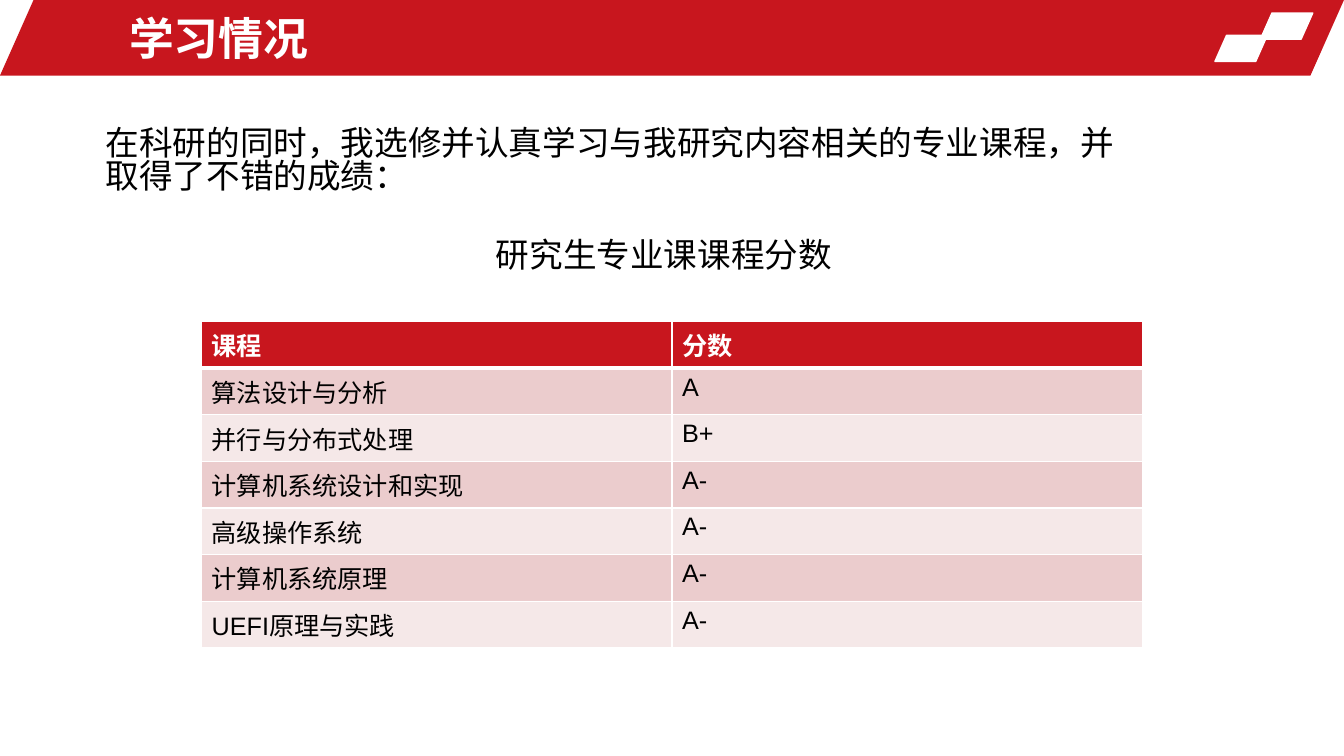
from lxml import etree
from pptx import Presentation
from pptx.dml.color import RGBColor
from pptx.enum.shapes import MSO_SHAPE
from pptx.enum.text import MSO_ANCHOR, PP_ALIGN
from pptx.oxml.ns import qn
from pptx.util import Inches, Pt

RED, WHITE, BLACK = "C8161E", "FFFFFF", "000000"
CJK = "Noto Sans CJK SC"


def paint(target, color):
    """Give a fill one solid colour."""
    target.solid()
    target.fore_color.rgb = RGBColor.from_string(color)


def style(para, size, color, bold=False, latin=CJK):
    """Format every run, with the Chinese font set for East Asian text."""
    for span in para.runs:
        span.font.size = Pt(size)
        span.font.bold = bold
        span.font.name = latin
        paint(span.font.fill, color)
        properties = span.font._element if hasattr(span.font, "_element") else span._r.get_or_add_rPr()
        etree.SubElement(properties, qn("a:ea"), typeface=CJK)


deck = Presentation()
deck.slide_width, deck.slide_height = Inches(13.33), Inches(7.5)
page = deck.slides.add_slide(deck.slide_layouts[5])

# Header band with two small white marks
for left, top, width, height, color in [
    (0, 0, 13.33, 0.75, RED),
    (12.5, 0.13, 0.52, 0.26, WHITE),
    (12.05, 0.35, 0.52, 0.26, WHITE),
]:
    band = page.shapes.add_shape(
        MSO_SHAPE.PARALLELOGRAM, Inches(left), Inches(top), Inches(width), Inches(height)
    )
    band.adjustments[0] = 0.444
    band.shadow.inherit = False
    paint(band.fill, color)
    if color == WHITE:
        paint(band.line.fill, WHITE)
        band.line.width = Pt(1)
    else:
        band.line.fill.background()

# Title, brought in front of the band
title = page.shapes.title
title.element.getparent().append(title.element)
title.left, title.top, title.width, title.height = map(Inches, (1.18, 0.05, 7.74, 0.65))
title.text_frame.text = "学习情况"
title.text_frame.vertical_anchor = MSO_ANCHOR.MIDDLE
title.text_frame.paragraphs[0].alignment = PP_ALIGN.LEFT
style(title.text_frame.paragraphs[0], 32, WHITE, bold=True)

# Course grades
grades = [
    ("课程", "分数"),
    ("算法设计与分析", "A"),
    ("并行与分布式处理", "B+"),
    ("计算机系统设计和实现", "A-"),
    ("高级操作系统", "A-"),
    ("计算机系统原理", "A-"),
    ("UEFI原理与实践", "A-"),
]
table = page.shapes.add_table(
    len(grades), 2, Inches(2), Inches(3.19), Inches(9.33), Inches(2.92)
).table
for row, values in enumerate(grades):
    header = row == 0
    for column, value in enumerate(values):
        cell = table.cell(row, column)
        cell.text_frame.text = value
        style(cell.text_frame.paragraphs[0], 18, WHITE if header else BLACK, header, "Arial")
        for side in ("lnL", "lnR", "lnT", "lnB"):
            thick = (header and side == "lnB") or (row == 1 and side == "lnT")
            border = etree.SubElement(
                cell._tc.get_or_add_tcPr(), qn(f"a:{side}"), w=str(Pt(3 if thick else 1))
            )
            solid = etree.SubElement(border, qn("a:solidFill"))
            etree.SubElement(solid, qn("a:srgbClr"), val=WHITE)
        paint(cell.fill, RED if header else ("F5E8E8", "EBCCCD")[row % 2])

# Caption and introduction
for left, top, width, height, words in [
    (4.82, 2.34, 3.69, 0.5, "研究生专业课课程分数"),
    (0.95, 1.23, 10.27, 1.21,
     "在科研的同时，我选修并认真学习与我研究内容相关的专业课程，并取得了不错的成绩："),
]:
    box = page.shapes.add_textbox(Inches(left), Inches(top), Inches(width), Inches(height))
    box.text_frame.word_wrap = True
    box.text_frame.text = words
    para = box.text_frame.paragraphs[0]
    para.line_spacing = 0.82
    style(para, 24, BLACK)

deck.save("out.pptx")
